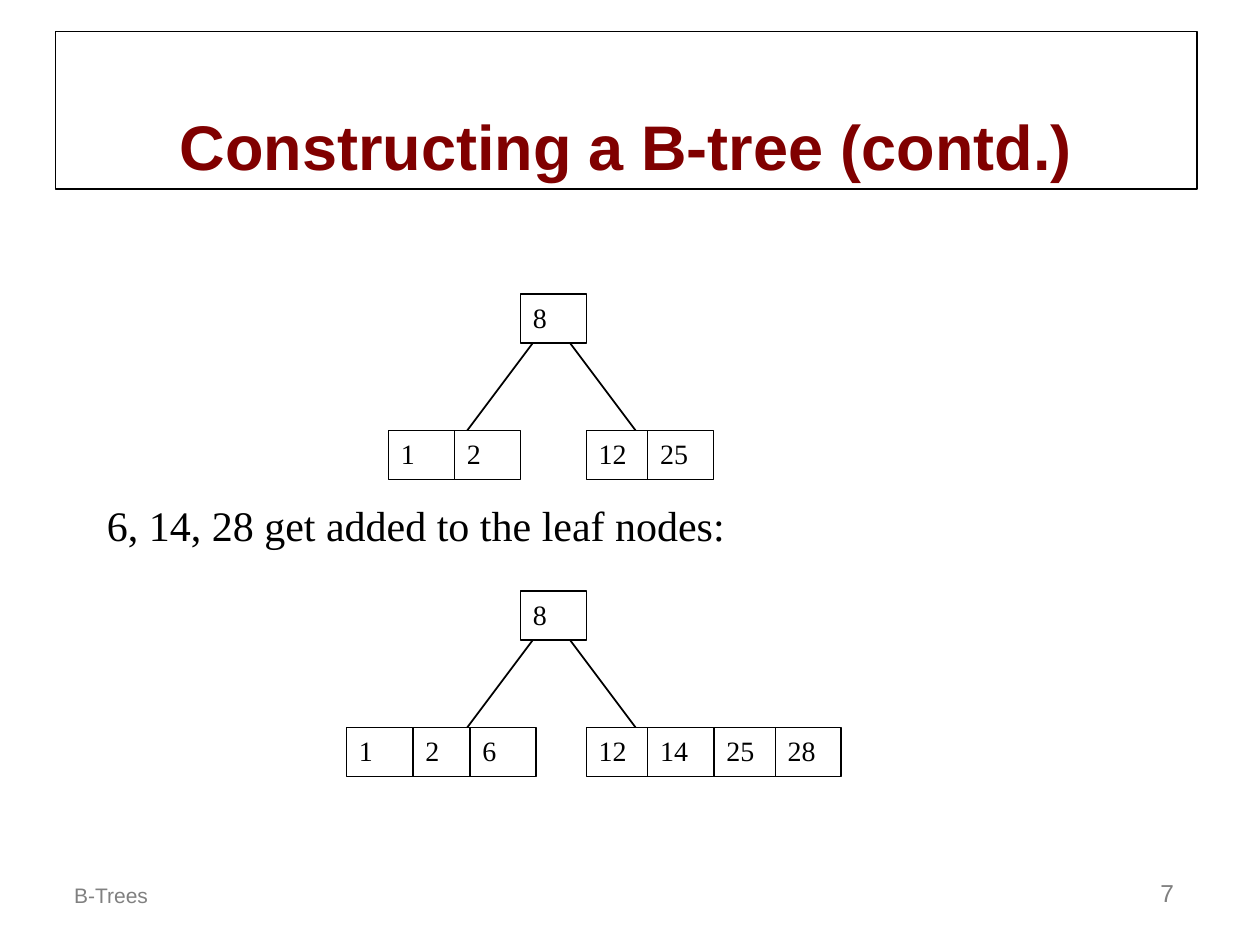
"""Build the slide that shows keys being added to the leaves of a B-tree."""
from dataclasses import dataclass

from lxml import etree
from pptx import Presentation
from pptx.dml.color import RGBColor
from pptx.enum.shapes import MSO_CONNECTOR, MSO_SHAPE
from pptx.enum.text import MSO_ANCHOR, MSO_AUTO_SIZE, PP_ALIGN
from pptx.oxml.ns import qn
from pptx.util import Pt

RECTANGLE = MSO_SHAPE.RECTANGLE
STRAIGHT = MSO_CONNECTOR.STRAIGHT
TOP, BOTTOM = MSO_ANCHOR.TOP, MSO_ANCHOR.BOTTOM
LEFT, CENTER, RIGHT = PP_ALIGN.LEFT, PP_ALIGN.CENTER, PP_ALIGN.RIGHT
FIXED, GROW = MSO_AUTO_SIZE.NONE, MSO_AUTO_SIZE.SHAPE_TO_FIT_TEXT
TITLE_ONLY = 5


@dataclass(frozen=True)
class Theme:
    """Colours, fonts and type sizes of the slide."""
    ink: RGBColor = RGBColor(0, 0, 0)
    paper: RGBColor = RGBColor(255, 255, 255)
    maroon: RGBColor = RGBColor(128, 0, 0)
    grey: RGBColor = RGBColor(128, 128, 128)
    sans: str = "Arial"
    serif: str = "Times New Roman"
    title_size: float = 36
    caption_size: float = 24
    key_size: float = 16
    number_size: float = 14
    footer_size: float = 12
    outline: float = 0.75
    branch: float = 1


@dataclass(frozen=True)
class Key:
    """A key cell and its left edge in points."""
    label: str
    left: float


@dataclass(frozen=True)
class Tree:
    """A two-level tree placed by the top of its root."""
    top: float
    root: Key
    leaves: tuple[Key, ...]


THEME = Theme()
CELL_WIDTH, CELL_HEIGHT = 37.7, 28
LEVEL_DROP = 78
BRANCH_START, BRANCH_DROP, BRANCH_REACH = 18, 72, 54
BRANCH_INSET, BRANCH_GAP = 14.6, 6.2
ROOT = Key("8", 297.4)
TREES = (
    Tree(168, ROOT, (Key("1", 222), Key("2", 259.7), Key("12", 335), Key("25", 370.2))),
    Tree(337.7, ROOT, (Key("1", 198), Key("2", 236), Key("6", 268.6), Key("12", 335),
                       Key("14", 370.2), Key("25", 408), Key("28", 443))),
)


def write(shape, text: str, *, size: float, font: str, color: RGBColor, bold: bool = False,
          align=LEFT, anchor=TOP, before: float = 0, fit=FIXED) -> None:
    """Write one formatted paragraph into a shape."""
    frame = shape.text_frame
    frame.word_wrap = True
    frame.auto_size = fit
    frame.vertical_anchor = anchor
    paragraph = frame.paragraphs[0]
    paragraph.alignment = align
    paragraph.space_before = Pt(before)
    run = paragraph.add_run()
    run.text = text
    run.font.size, run.font.name, run.font.bold = Pt(size), font, bold
    run.font.color.rgb = color


def outline(shape) -> None:
    """Give a shape the thin dark outline."""
    shape.line.color.rgb = THEME.ink
    shape.line.width = Pt(THEME.outline)


def draw_title(slide, text: str) -> None:
    """Place and fill the title placeholder."""
    title = slide.shapes.title
    title.left, title.top, title.width, title.height = Pt(31.7), Pt(18), Pt(652.3), Pt(90)
    outline(title)
    write(title, text, size=THEME.title_size, font=THEME.sans, color=THEME.maroon,
          bold=True, align=CENTER, anchor=BOTTOM)


def draw_label(slide, text: str, left: float, top: float, width: float, **text_format) -> None:
    """Draw a free line of text."""
    label = slide.shapes.add_textbox(Pt(left), Pt(top), Pt(width), Pt(36))
    write(label, text, **text_format)


def draw_key(slide, key: Key, top: float) -> None:
    """Draw one key cell."""
    cell = slide.shapes.add_shape(RECTANGLE, Pt(key.left), Pt(top), Pt(CELL_WIDTH), Pt(CELL_HEIGHT))
    cell.shadow.inherit = False
    cell.fill.solid()
    cell.fill.fore_color.rgb = THEME.paper
    outline(cell)
    write(cell, key.label, size=THEME.key_size, font=THEME.serif, color=THEME.ink)


def draw_branch(slide, start: float, end: float, top: float) -> None:
    """Draw a line from the root down to a leaf node."""
    branch = slide.shapes.add_connector(STRAIGHT, Pt(start), Pt(top), Pt(end), Pt(top + BRANCH_DROP))
    branch.line.color.rgb = THEME.ink
    branch.line.width = Pt(THEME.branch)
    etree.SubElement(branch._element.spPr, qn("a:effectLst"))


def draw_tree(slide, tree: Tree) -> None:
    """Draw the branches of a tree and the cells over them."""
    left_start = tree.root.left + BRANCH_INSET
    right_start = left_start + BRANCH_GAP
    branch_top = tree.top + BRANCH_START
    draw_branch(slide, left_start, left_start - BRANCH_REACH, branch_top)
    draw_branch(slide, right_start, right_start + BRANCH_REACH, branch_top)
    draw_key(slide, tree.root, tree.top)
    for leaf in tree.leaves:
        draw_key(slide, leaf, tree.top + LEVEL_DROP)


def main() -> None:
    """Build and save the presentation."""
    deck = Presentation()
    deck.slide_width, deck.slide_height = Pt(720), Pt(540)
    slide = deck.slides.add_slide(deck.slide_layouts[TITLE_ONLY])
    draw_title(slide, "Constructing a B-tree (contd.)")
    for tree in TREES:
        draw_tree(slide, tree)
    draw_label(slide, "6, 14, 28 get added to the leaf nodes:", 54, 282, 618,
               size=THEME.caption_size, font=THEME.serif, color=THEME.ink, before=15, fit=GROW)
    draw_label(slide, "B-Trees", 35.3, 486, 216, size=THEME.footer_size, font=THEME.sans,
               color=THEME.grey, anchor=BOTTOM, before=7.5)
    draw_label(slide, "7", 528, 486, 150, size=THEME.number_size, font=THEME.sans,
               color=THEME.grey, align=RIGHT, anchor=BOTTOM, before=8.8)
    deck.save("out.pptx")


if __name__ == "__main__":
    main()
